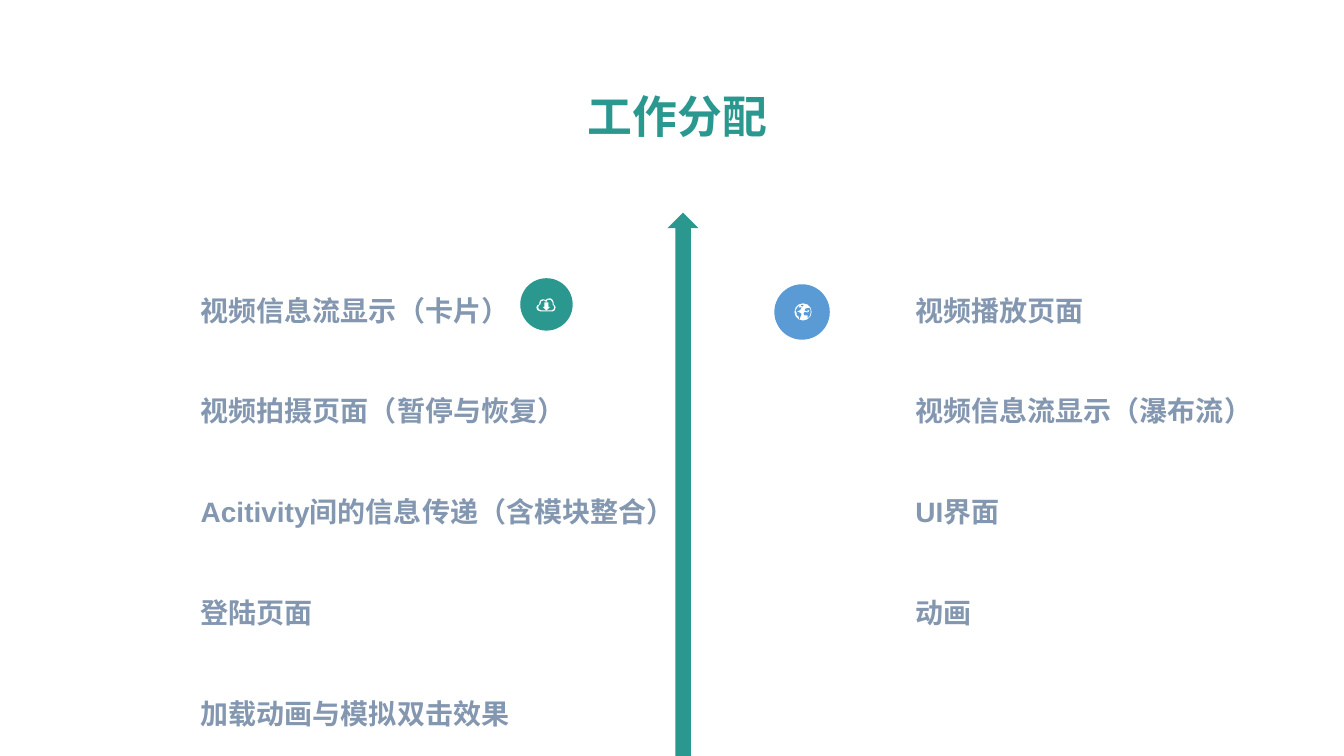
from lxml import etree
from pptx import Presentation
from pptx.dml.color import RGBColor
from pptx.enum.lang import MSO_LANGUAGE_ID
from pptx.enum.shapes import MSO_SHAPE
from pptx.enum.text import MSO_ANCHOR, MSO_AUTO_SIZE, PP_ALIGN
from pptx.oxml.ns import qn
from pptx.util import Inches, Pt

OVAL, UP_ARROW = MSO_SHAPE.OVAL, MSO_SHAPE.UP_ARROW
TOP, LEFT, NO_FIT = MSO_ANCHOR.TOP, PP_ALIGN.LEFT, MSO_AUTO_SIZE.NONE
CHINESE = MSO_LANGUAGE_ID.SIMPLIFIED_CHINESE
TEAL, BLUE, GREY, WHITE = "2B9890", "5B9BD5", "8497B0", "FFFFFF"
FONT = "Arial"

TITLE_FORMAT = {"line_spacing": 1.0}
LIST_FORMAT = {"line_spacing": Pt(36), "space_before": Pt(0), "space_after": Pt(36)}

LEFT_TASKS = [
    "视频信息流显示（卡片）",
    "视频拍摄页面（暂停与恢复）",
    "Acitivity间的信息传递（含模块整合）",
    "登陆页面",
    "加载动画与模拟双击效果",
]
RIGHT_TASKS = ["视频播放页面", "视频信息流显示（瀑布流）", "UI界面", "动画"]

CLOUD_OUTER = [
    (5.49, 3.02), (5.49, 3), (5.48, 2.975), (5.465, 2.963), (5.45, 2.96),
    (5.425, 2.966), (5.41, 2.98), (5.395, 2.97), (5.38, 2.97), (5.36, 2.98),
    (5.35, 3), (5.35, 3.02), (5.33, 3.03), (5.32, 3.05), (5.327, 3.075),
    (5.36, 3.09), (5.48, 3.09), (5.5, 3.08), (5.51, 3.05), (5.505, 3.035),
]
CLOUD_INNER = [
    (5.48, 3.02), (5.48, 3), (5.465, 2.978), (5.44, 2.973), (5.425, 2.98),
    (5.42, 3), (5.405, 2.985), (5.39, 2.98), (5.365, 2.99), (5.36, 3.02),
    (5.345, 3.03), (5.337, 3.05), (5.345, 3.07), (5.37, 3.08), (5.47, 3.08),
    (5.49, 3.07), (5.497, 3.05), (5.492, 3.035),
]
CLOUD_ARROW = [
    (5.4, 3), (5.44, 3), (5.44, 3.045), (5.455, 3.045), (5.42, 3.08),
    (5.385, 3.045), (5.4, 3.045),
]
AMERICAS = [
    (7.89, 3.08), (7.91, 3.05), (7.93, 3.03), (7.92, 3.05), (7.95, 3.05),
    (7.94, 3.07), (7.93, 3.08), (7.9, 3.09), (7.93, 3.1), (7.95, 3.115),
    (7.94, 3.14), (7.93, 3.17), (7.92, 3.14), (7.9, 3.125), (7.9, 3.1),
]
GREENLAND = [(7.94, 3.03), (7.955, 3.023), (7.97, 3.03), (7.957, 3.043)]
AFRICA_ASIA = [
    (8.04, 3.1), (8.033, 3.13), (8.01, 3.16), (8.01, 3.13), (7.98, 3.13),
    (7.97, 3.11), (7.98, 3.095), (8.01, 3.1), (8.03, 3.085), (8.01, 3.07),
    (8.01, 3.09), (7.98, 3.08), (7.99, 3.06), (8.03, 3.055), (8.04, 3.08),
]


def rgb(value):
    """Return the colour for a hex string."""
    return RGBColor.from_string(value)


def place(shape, left, top, width, height):
    """Set a shape's box in inches."""
    box = {"left": left, "top": top, "width": width, "height": height}
    for name, value in box.items():
        setattr(shape, name, Inches(value))


def paint(shape, color):
    """Give a shape a plain fill without line or shadow."""
    shape.shadow.inherit = False
    shape.fill.solid()
    shape.fill.fore_color.rgb = rgb(color)
    shape.line.fill.background()


def add_preset(s, kind, box, color):
    """Add a plain preset shape."""
    paint(s.shapes.add_shape(kind, *map(Inches, box)), color)


def add_outline(s, contours, color):
    """Add one filled shape from closed contours in inches."""
    contours = [[(Inches(x), Inches(y)) for x, y in c] for c in contours]
    builder = s.shapes.build_freeform(*contours[0][0])
    for i, points in enumerate(contours):
        if i:
            builder.move_to(*points[0])
        builder.add_line_segments(points[1:], close=True)
    paint(builder.convert_to_shape(), color)


def fill_text(shape, box, lines, size, color, formats):
    """Move a placeholder and write its formatted paragraphs."""
    place(shape, *box)
    tf = shape.text_frame
    frame = {"word_wrap": True, "auto_size": NO_FIT, "vertical_anchor": TOP}
    for name, value in frame.items():
        setattr(tf, name, value)
    font = {"name": FONT, "size": Pt(size), "bold": True, "language_id": CHINESE}
    for i, line in enumerate(lines):
        p = tf.add_paragraph() if i else tf.paragraphs[0]
        for name, value in {"alignment": LEFT, **formats}.items():
            setattr(p, name, value)
        props = p._p.get_or_add_pPr()
        props.set("marL", "0")
        props.set("indent", "0")
        etree.SubElement(props, qn("a:buNone"))
        r = p.add_run()
        r.text = line
        for name, value in font.items():
            setattr(r.font, name, value)
        r.font.color.rgb = rgb(color)
        east_asian = etree.SubElement(r.font._element, qn("a:ea"))
        east_asian.set("typeface", FONT)


def add_cloud_badge(s):
    """Add the teal disc with a download cloud."""
    add_preset(s, OVAL, (5.16, 2.76, 0.52, 0.52), TEAL)
    add_outline(s, [CLOUD_OUTER, CLOUD_INNER], WHITE)
    add_outline(s, [CLOUD_ARROW], WHITE)


def add_globe_badge(s):
    """Add the blue disc with a globe."""
    add_preset(s, OVAL, (7.68, 2.82, 0.55, 0.55), BLUE)
    add_preset(s, OVAL, (7.88, 3.01, 0.17, 0.17), WHITE)
    add_outline(s, [AMERICAS, GREENLAND, AFRICA_ASIA], BLUE)


def main():
    """Build and save the work allocation slide."""
    prs = Presentation()
    prs.slide_width, prs.slide_height = Inches(13.33), Inches(7.5)
    s = prs.slides.add_slide(prs.slide_layouts[3])
    title, left_list, right_list = s.placeholders
    fill_text(title, (5.73, 0.83, 2.2, 0.64), ["工作分配"], 32, TEAL, TITLE_FORMAT)
    add_preset(s, UP_ARROW, (6.62, 2.11, 0.31, 5.54), TEAL)
    fill_text(left_list, (1.89, 2.69, 4.97, 5.59), LEFT_TASKS, 20, GREY, LIST_FORMAT)
    add_cloud_badge(s)
    add_globe_badge(s)
    fill_text(right_list, (8.98, 2.69, 3.59, 3.57), RIGHT_TASKS, 20, GREY, LIST_FORMAT)
    prs.save("out.pptx")


if __name__ == "__main__":
    main()
